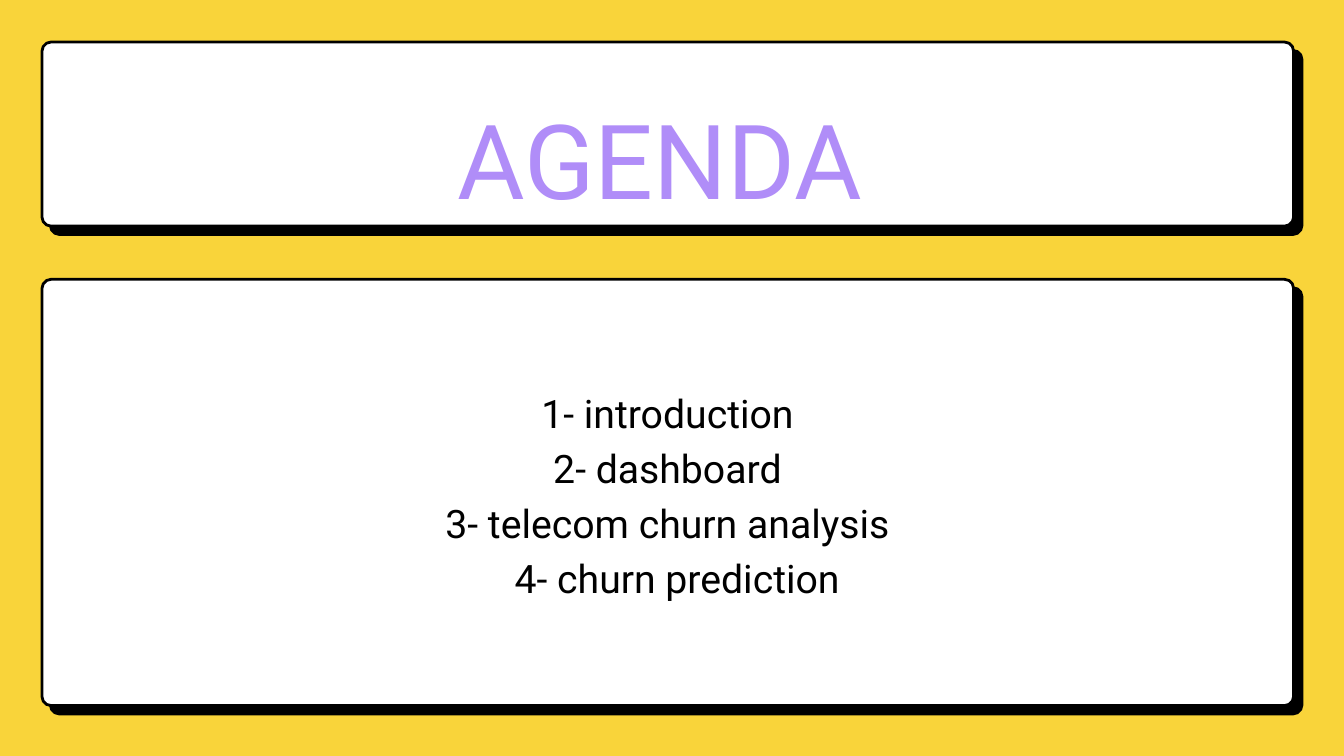
"""Build an agenda slide with a title card and a list card."""
import pptx
import pptx.dml.color
import pptx.enum.shapes
import pptx.enum.text
import pptx.util

TITLE = "AGENDA "
ITEMS = [
    "1- introduction ",
    "2- dashboard ",
    "3- telecom churn analysis ",
    " 4- churn prediction",
]
CARDS = [(60, 60, 1788, 263), (60, 399, 1788, 609)]
TITLE_BOX = (197, 108, 1527, 200)
LIST_BOX = (296, 545, 1329, 310)
SHADOW, RADIUS, BORDER = 12, 13, 4
YELLOW, WHITE, BLACK, PURPLE = "F9D43A", "FFFFFF", "000000", "B08DF8"
FONT, LEADING = "Roboto", 1.4


def px(n):
    return pptx.util.Emu(n * 9525)


def rgb(color):
    return pptx.dml.color.RGBColor.from_string(color)


def add_panel(slide, x, y, w, h, fill):
    kind = pptx.enum.shapes.MSO_SHAPE.ROUNDED_RECTANGLE
    sp = slide.shapes.add_shape(kind, px(x), px(y), px(w), px(h))
    sp.adjustments[0] = RADIUS / min(w, h)
    sp.shadow.inherit = False
    sp.fill.solid()
    sp.fill.fore_color.rgb = rgb(fill)
    sp.line.color.rgb = rgb(BLACK)
    sp.line.width = px(BORDER)


def set_text(sp, box, lines, size, color):
    sp.left, sp.top, sp.width, sp.height = map(px, box)
    tf = sp.text_frame
    tf.word_wrap = True
    tf.auto_size = pptx.enum.text.MSO_AUTO_SIZE.NONE
    tf.vertical_anchor = pptx.enum.text.MSO_ANCHOR.TOP
    tf.margin_left = tf.margin_top = tf.margin_right = tf.margin_bottom = 0
    tf.text = "\n".join(lines)
    for p in tf.paragraphs:
        p.alignment = pptx.enum.text.PP_ALIGN.CENTER
        p.line_spacing = pptx.util.Pt(size * LEADING)
        p.space_before = pptx.util.Pt(0)
        p.font.name = FONT
        p.font.size = pptx.util.Pt(size)
        p.font.color.rgb = rgb(color)


def main():
    prs = pptx.Presentation()
    prs.slide_width, prs.slide_height = px(1920), px(1080)
    slide = prs.slides.add_slide(prs.slide_layouts[5])
    slide.background.fill.solid()
    slide.background.fill.fore_color.rgb = rgb(YELLOW)

    for x, y, w, h in CARDS:
        add_panel(slide, x + SHADOW, y + SHADOW, w, h, BLACK)
        add_panel(slide, x, y, w, h, WHITE)

    title = slide.shapes.title
    slide.shapes.element.append(title.element)
    set_text(title, TITLE_BOX, [TITLE], 111, PURPLE)
    agenda = slide.shapes.add_textbox(*map(px, LIST_BOX))
    set_text(agenda, LIST_BOX, ITEMS, 42, BLACK)
    prs.save("out.pptx")


if __name__ == "__main__":
    main()
